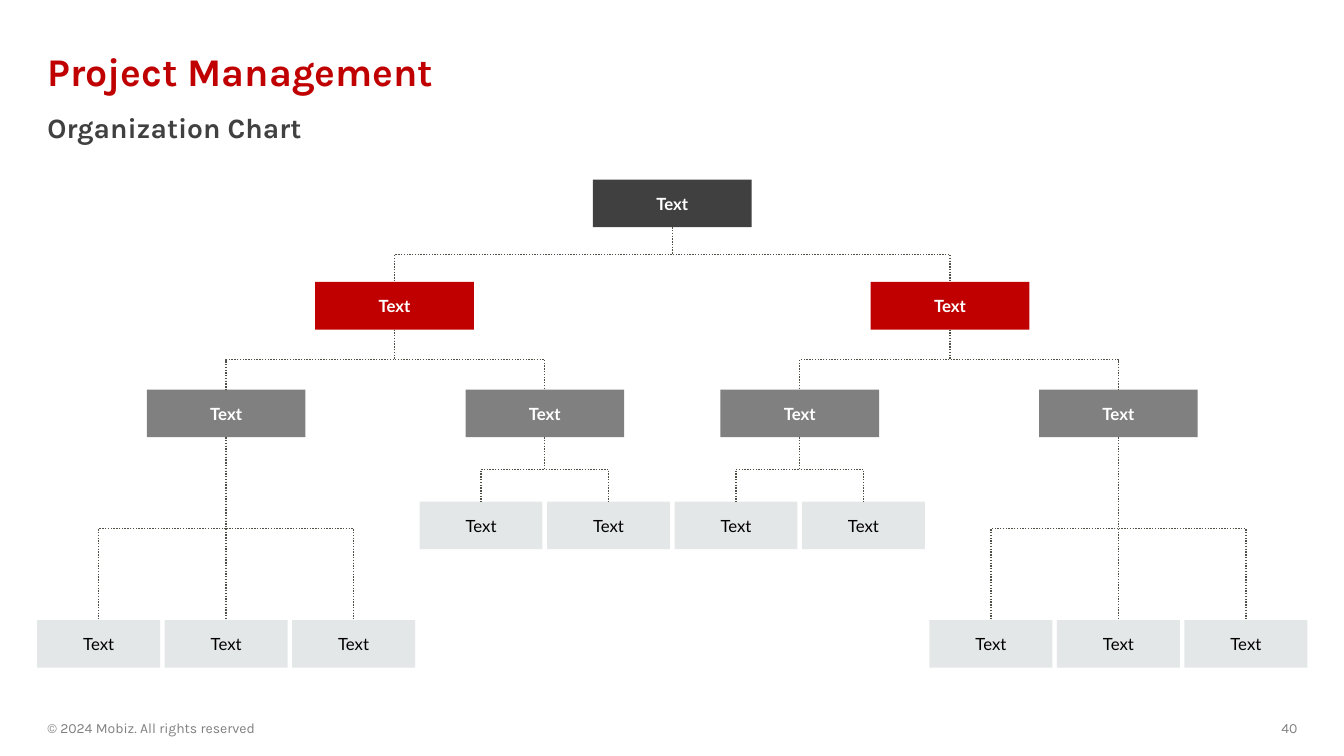
from dataclasses import dataclass

from lxml.etree import SubElement
from pptx import Presentation
from pptx.dml.color import RGBColor
from pptx.enum.dml import MSO_LINE
from pptx.enum.shapes import MSO_CONNECTOR, MSO_SHAPE
from pptx.enum.text import MSO_ANCHOR, PP_ALIGN
from pptx.oxml.ns import qn
from pptx.util import Pt


@dataclass(frozen=True)
class Theme:
    heading_font: str = "Karla"
    box_font: str = "Lato"
    red: str = "C00000"
    dark: str = "404040"
    gray: str = "808080"
    pale: str = "E4E7E7"
    white: str = "FFFFFF"
    black: str = "000000"
    line: str = "505046"
    title_size: float = 28
    subtitle_size: float = 20
    box_size: float = 12
    footer_size: float = 10


@dataclass(frozen=True)
class Level:
    top: float
    width: float
    fill: str
    color: str
    bold: bool


THEME = Theme()
CENTER = 480.2
PITCH = 91.05
BOX_HEIGHT = 34
ROOT = Level(128.3, 113.3, THEME.dark, THEME.white, True)
DIVISION = Level(201.4, 113.3, THEME.red, THEME.white, True)
TEAM = Level(278.3, 113.3, THEME.gray, THEME.white, True)
INNER_MEMBER = Level(358.3, 87.8, THEME.pale, THEME.black, False)
OUTER_MEMBER = Level(442.9, 87.8, THEME.pale, THEME.black, False)
DIVISION_OFFSET = 198.4


def style_text(frame, text, font, size, color, bold, align):
    frame.word_wrap = True
    frame.text = text
    paragraph = frame.paragraphs[0]
    paragraph.alignment = align
    run_font = paragraph.runs[0].font
    run_font.name = font
    run_font.size = Pt(size)
    run_font.bold = bold
    run_font.color.rgb = RGBColor.from_string(color)
    return paragraph


def add_label(slide, text, bounds, size, color, bold=False,
              align=PP_ALIGN.LEFT, anchor=MSO_ANCHOR.MIDDLE, spacing=1.0):
    frame = slide.shapes.add_textbox(*map(Pt, bounds)).text_frame
    frame.vertical_anchor = anchor
    paragraph = style_text(frame, text, THEME.heading_font, size, color, bold, align)
    paragraph.line_spacing = spacing


def add_box(slide, center, level):
    box = slide.shapes.add_shape(
        MSO_SHAPE.RECTANGLE, Pt(center - level.width / 2), Pt(level.top),
        Pt(level.width), Pt(BOX_HEIGHT))
    box.shadow.inherit = False
    box.fill.solid()
    box.fill.fore_color.rgb = RGBColor.from_string(level.fill)
    box.line.fill.background()
    frame = box.text_frame
    frame.vertical_anchor = MSO_ANCHOR.MIDDLE
    frame.margin_left = frame.margin_right = Pt(5.76)
    frame.margin_top = frame.margin_bottom = Pt(5.76)
    style_text(frame, "Text", THEME.box_font, THEME.box_size,
               level.color, level.bold, PP_ALIGN.CENTER)
    return box


def add_branch(slide, parent, child):
    start_x = parent.left + parent.width // 2
    end_x = child.left + child.width // 2
    start_y, end_y = parent.top + parent.height, child.top
    run, drop = end_x - start_x, end_y - start_y
    straight = abs(run) < Pt(1)
    kind = MSO_CONNECTOR.STRAIGHT if straight else MSO_CONNECTOR.ELBOW
    branch = slide.shapes.add_connector(kind, start_x, start_y, end_x, end_y)
    branch.begin_connect(parent, 2)
    branch.end_connect(child, 0)
    if not straight:
        branch.left = (start_x + end_x - drop) // 2
        branch.top = (start_y + end_y - abs(run)) // 2
        branch.width, branch.height = drop, abs(run)
        transform = branch._element.spPr.xfrm
        transform.flipH = run > 0
        transform.rot = 270 if run > 0 else 90
    branch.line.color.rgb = RGBColor.from_string(THEME.line)
    branch.line.width = Pt(1)
    branch.line.dash_style = MSO_LINE.ROUND_DOT
    SubElement(branch._element.spPr, qn("a:effectLst"))


def add_child(slide, parent, center, level):
    child = add_box(slide, center, level)
    add_branch(slide, parent, child)
    return child


def add_team(slide, division, center, level, size):
    team = add_child(slide, division, center, TEAM)
    for index in range(size):
        add_child(slide, team, center + (index - (size - 1) / 2) * PITCH, level)


def add_organization(slide):
    root = add_box(slide, CENTER, ROOT)
    for side in (-1, 1):
        division = add_child(slide, root, CENTER + side * DIVISION_OFFSET, DIVISION)
        add_team(slide, division, CENTER + side * PITCH, INNER_MEMBER, 2)
        add_team(slide, division, CENTER + side * 3.5 * PITCH, OUTER_MEMBER, 3)


def main():
    presentation = Presentation()
    presentation.slide_width, presentation.slide_height = Pt(960), Pt(540)
    slide = presentation.slides.add_slide(presentation.slide_layouts[6])
    add_label(slide, "Project Management", (26.8, 28.8, 907, 48),
              THEME.title_size, THEME.red, bold=True, spacing=0.9)
    add_label(slide, "Organization Chart", (26.8, 77.8, 907, 34),
              THEME.subtitle_size, THEME.dark, bold=True,
              anchor=MSO_ANCHOR.TOP, spacing=0.9)
    add_organization(slide)
    add_label(slide, "© 2024 Mobiz. All rights reserved", (26.8, 511.2, 324, 18),
              THEME.footer_size, THEME.gray)
    add_label(slide, "40", (846, 511.2, 87.8, 18),
              THEME.footer_size, THEME.gray, align=PP_ALIGN.RIGHT)
    presentation.save("out.pptx")


if __name__ == "__main__":
    main()
